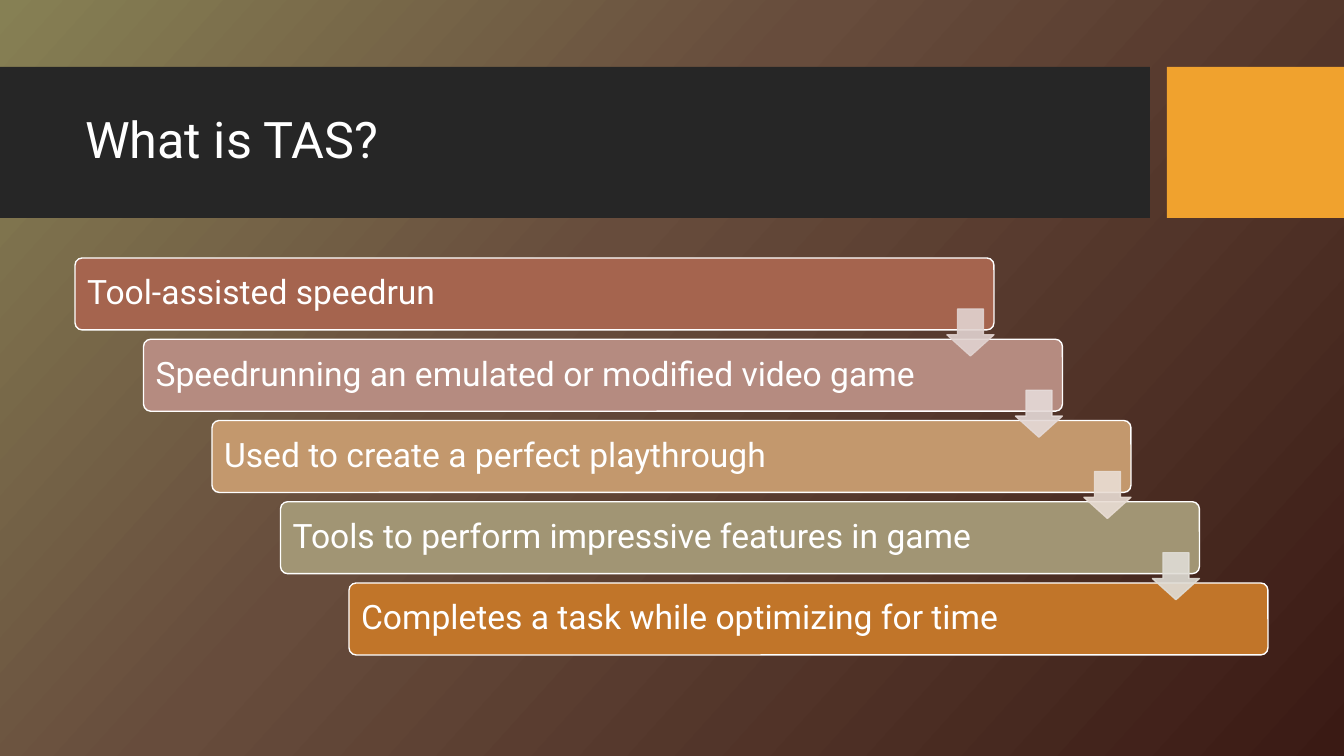
from copy import deepcopy

from lxml.etree import SubElement
from pptx import Presentation
from pptx.dml.color import RGBColor
from pptx.enum.shapes import MSO_SHAPE as Shape
from pptx.enum.text import MSO_ANCHOR as Anchor, PP_ALIGN as Align
from pptx.oxml.ns import qn
from pptx.util import Pt

PX = 9144000 / 1008
WHITE = "FFFFFF"


def add_block(kind, box, color, line=None):
    shape = slide.shapes.add_shape(kind, *[round(length * PX) for length in box])
    shape.shadow.inherit = False
    shape.fill.solid()
    shape.fill.fore_color.rgb = RGBColor.from_string(color)
    if line:
        shape.line.color.rgb = RGBColor.from_string(line)
        shape.line.width = Pt(1)
    else:
        shape.line.fill.background()
    return shape


def write(shape, text, size):
    frame = shape.text_frame
    frame_format = {
        "word_wrap": True,
        "vertical_anchor": Anchor.MIDDLE,
        "margin_left": round(10 * PX),
        "margin_right": round(10 * PX),
    }
    for name, value in frame_format.items():
        setattr(frame, name, value)
    paragraph = frame.paragraphs[0]
    paragraph.text = text
    paragraph.alignment = Align.LEFT
    paragraph.line_spacing = 0.9
    font = paragraph.runs[0].font
    for name, value in {"name": "Roboto", "size": Pt(size)}.items():
        setattr(font, name, value)
    font.color.rgb = RGBColor.from_string(WHITE)


presentation = Presentation()
presentation.slide_width = round(1344 * PX)
presentation.slide_height = round(756 * PX)
slide = presentation.slides.add_slide(presentation.slide_layouts[6])

background = slide.background.fill
background.gradient()
background.gradient_angle = 318
stop_list = slide.element.find(".//" + qn("a:gsLst"))
stop_list.append(deepcopy(stop_list[-1]))
gradient = [(0, "868054"), (0.41, "674C3C"), (1, "3A1A14")]
for stop, (position, color) in zip(background.gradient_stops, gradient):
    stop.position = position
    stop.color.rgb = RGBColor.from_string(color)

add_block(Shape.RECTANGLE, (0, 67, 1150, 151), "262626")
add_block(Shape.RECTANGLE, (1167, 67, 177, 151), "F0A22E")
title = slide.shapes.add_textbox(*[round(length * PX) for length in (75, 83, 1059, 119)])
write(title, "What is TAS?", 36)

steps = [
    ("Tool-assisted speedrun", "A5644E"),
    ("Speedrunning an emulated or modified video game", "B58B80"),
    ("Used to create a perfect playthrough", "C3986D"),
    ("Tools to perform impressive features in game", "A19574"),
    ("Completes a task while optimizing for time", "C17529"),
]
arrow_colors = ["E1D3D0", "E5DAD8", "E9DDD4", "E0DDD6"]
bar_width, bar_height, arrow_size = 919, 72, 47
corners = [(75 + 274 * i / 4, 258 + 325 * i / 4) for i in range(len(steps))]

for (left, top), (text, color) in zip(corners, steps):
    bar = add_block(Shape.ROUNDED_RECTANGLE, (left, top, bar_width, bar_height), color, WHITE)
    bar.adjustments[0] = 0.1
    write(bar, text, 24)

for (left, top), color in zip(corners, arrow_colors):
    box = (left + bar_width - arrow_size, top + 51, arrow_size, arrow_size)
    arrow = add_block(Shape.DOWN_ARROW, box, color, color)
    arrow.adjustments[0] = 0.55
    arrow.adjustments[1] = 0.45
    for paint in arrow.element.spPr.iter(qn("a:srgbClr")):
        SubElement(paint, qn("a:alpha"), val="90000")

presentation.save("out.pptx")
